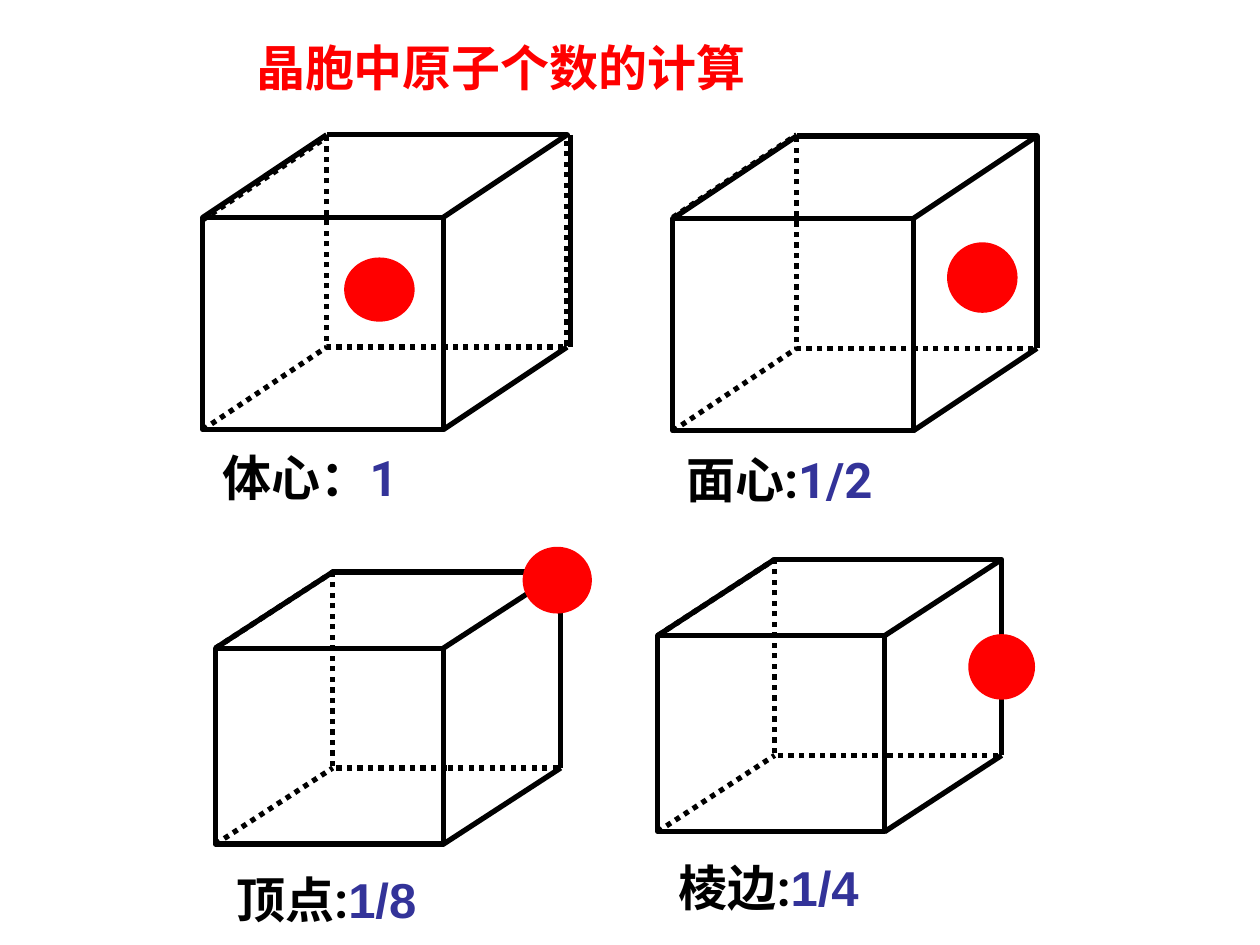
from dataclasses import dataclass

from pptx import Presentation
from pptx.dml.color import RGBColor
from pptx.enum.dml import MSO_LINE_DASH_STYLE as Dash
from pptx.enum.shapes import MSO_CONNECTOR as Conn, MSO_SHAPE as Shape
from pptx.enum.text import MSO_ANCHOR as Anchor, PP_ALIGN as Align
from pptx.oxml.ns import qn
from pptx.util import Inches, Pt
from lxml import etree

COLORS = {"edge": "000000", "atom": "FF0000", "title": "FF0000",
          "label": "000000", "share": "333399"}
WIDTH, HEIGHT = 10, 7.5
DEPTH_X, DEPTH_Y = 0.34, 0.28  # offset of the back face, as shares of the cube


@dataclass
class Cell:
    box: tuple           # left, top, width, height of the cube
    atom: tuple          # centre of the atom, as shares of the cube
    atom_size: tuple
    label: tuple         # left, top, width of the caption
    name: str
    share: str
    share_font: str = "Arial"
    side_shift: float = 0    # right-hand edge, sideways
    hidden_shift: float = 0  # hidden top edge, downwards


CELLS = [
    Cell((1.61, 1.07, 2.89, 2.34), (0.485, 0.525), (0.56, 0.51),
         (1.67, 3.5, 1.86), "体心：", "1", "Roboto", 0.03, 0.02),
    Cell((5.34, 1.08, 2.89, 2.34), (0.85, 0.48), (0.56, 0.56),
         (5.35, 3.52, 2.1), "面心:", "1/2", "Roboto", 0, -0.01),
    Cell((1.71, 4.54, 2.74, 2.16), (0.99, 0.03), (0.55, 0.53),
         (1.78, 6.85, 2.13), "顶点:", "1/8"),
    Cell((5.22, 4.44, 2.73, 2.16), (1, 0.395), (0.53, 0.52),
         (5.29, 6.76, 2.46), "棱边:", "1/4"),
]


def color(key):
    return RGBColor.from_string(COLORS[key])


def style_line(line, dotted):
    line.color.rgb = color("edge")
    line.width = Pt(3)
    if dotted:
        line.dash_style = Dash.ROUND_DOT  # stored as sysDot


def add_edge(s, start, end, dotted=False):
    edge = s.shapes.add_connector(
        Conn.STRAIGHT, *(Inches(v) for v in (*start, *end)))
    style_line(edge.line, dotted)
    etree.SubElement(edge._element.spPr, qn("a:effectLst"))


def add_face(s, left, top, width, height, dotted=False):
    sp = s.shapes.add_shape(
        Shape.RECTANGLE, *(Inches(v) for v in (left, top, width, height)))
    sp.shadow.inherit = False
    sp.fill.background()
    style_line(sp.line, dotted)


def add_text(s, box, parts, align=Align.LEFT, anchor=Anchor.TOP):
    """parts holds (text, font, colour key) for each run."""
    tf = s.shapes.add_textbox(*(Inches(v) for v in box)).text_frame
    tf.word_wrap = True
    tf.vertical_anchor = anchor
    p = tf.paragraphs[0]
    p.alignment = align
    for text, font, key in parts:
        r = p.add_run()
        r.text = text
        r.font.name, r.font.size, r.font.bold = font, Pt(28), True
        r.font.color.rgb = color(key)


def add_cube(s, cell):
    left, top, width, height = cell.box
    dx, dy = DEPTH_X * width, DEPTH_Y * height
    w, h = width - dx, height - dy
    right, bottom = left + width, top + height

    # Faces: hidden back, then front
    add_face(s, left + dx, top, w, h, dotted=True)
    add_face(s, left, top + dy, w, h)

    # Receding edges, from the front corner to the back one
    shift = cell.hidden_shift
    for x, y, dotted in [(left, top + dy + shift, True), (left, bottom, True),
                         (left, top + dy, False), (left + w, top + dy, False),
                         (left + w, bottom, False)]:
        add_edge(s, (x, y), (x + dx, y - dy), dotted)

    # Visible edges of the back face
    side = right + cell.side_shift
    add_edge(s, (left + dx, top), (right, top))
    add_edge(s, (side, top), (side, top + h))


def add_atom(s, cell):
    left, top, width, height = cell.box
    (fx, fy), (w, h) = cell.atom, cell.atom_size
    x, y = left + fx * width - w / 2, top + fy * height - h / 2
    sp = s.shapes.add_shape(Shape.FLOWCHART_CONNECTOR,
                            *(Inches(v) for v in (x, y, w, h)))
    sp.shadow.inherit = False
    sp.fill.solid()
    sp.fill.fore_color.rgb = color("atom")
    sp.line.fill.background()


def add_cell(s, cell):
    add_cube(s, cell)
    add_atom(s, cell)
    add_text(s, (*cell.label, 0.57),
             [(cell.name, "Roboto", "label"),
              (cell.share, cell.share_font, "share")])


def main():
    prs = Presentation()
    prs.slide_width, prs.slide_height = Inches(WIDTH), Inches(HEIGHT)
    s = prs.slides.add_slide(prs.slide_layouts[6])

    # Title
    add_text(s, (0.51, 0, 6.93, 1.07),
             [("晶胞中原子个数的计算", "Arial", "title")],
             Align.CENTER, Anchor.MIDDLE)

    # Four unit cells
    for cell in CELLS:
        add_cell(s, cell)

    prs.save("out.pptx")


if __name__ == "__main__":
    main()
